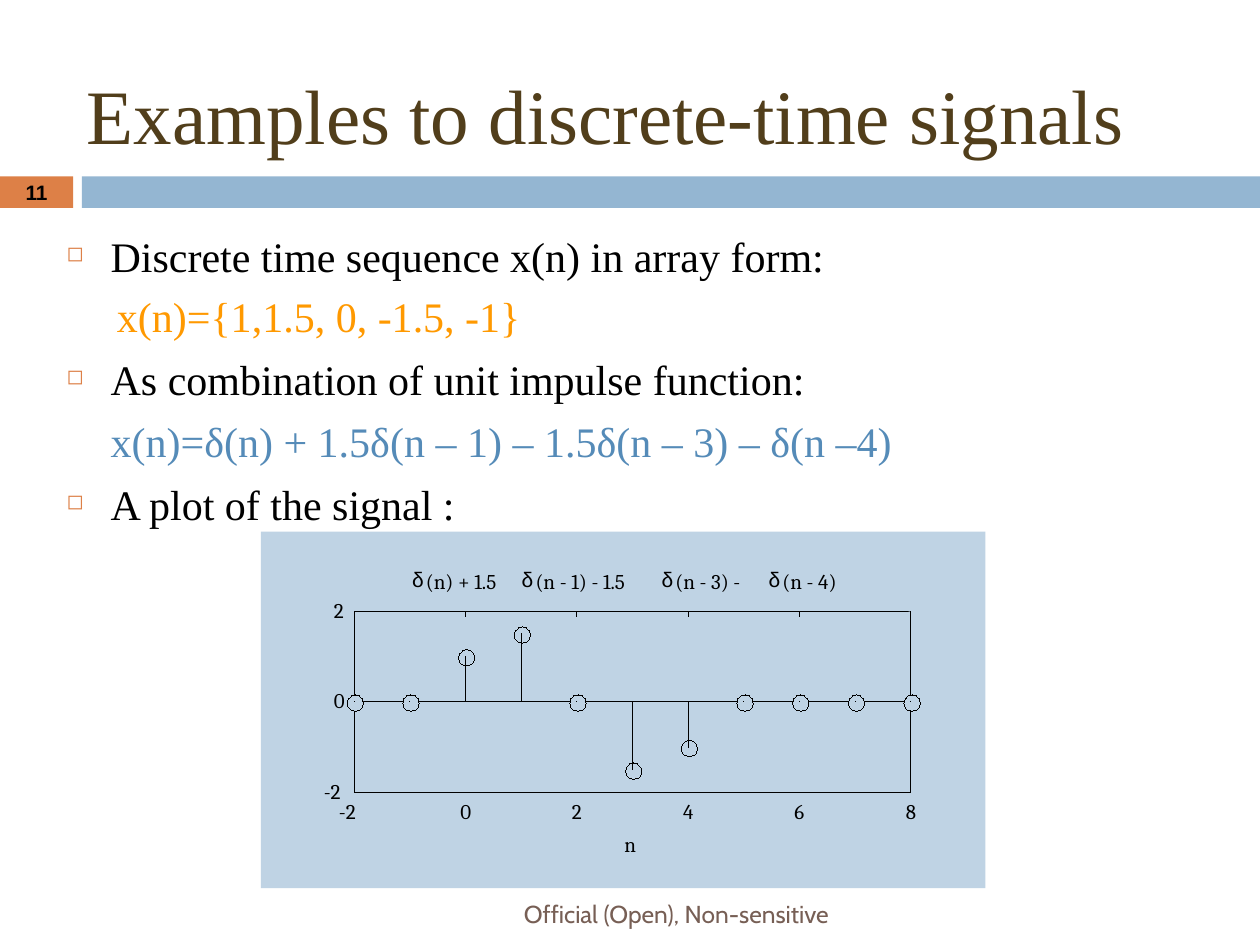
import collections

import lxml.etree
import pptx
import pptx.dml.color
import pptx.enum.shapes
import pptx.enum.text
import pptx.oxml.ns
import pptx.util

Box = collections.namedtuple("Box", "left top width height")
SHAPE = pptx.enum.shapes.MSO_SHAPE
ALIGN = pptx.enum.text.PP_ALIGN
ANCHOR = pptx.enum.text.MSO_ANCHOR
WIDTH, HEIGHT = 10, 7.5
HAIRLINE = pptx.util.Pt(0.01)
COLORS = {
    "orange": "DD8047", "blue": "94B6D2", "panel": "BFD3E4", "title": "513E1B",
    "text": "000000", "array": "FF9900", "impulse": "558BB8", "footer": "775F55",
}
BODY = [
    ("Discrete time sequence x(n) in array form:", "text", True, 0.35, 0),
    ("x(n)={1,1.5, 0, -1.5, -1}", "array", False, 0.4, 5.5),
    ("As combination of unit impulse function:", "text", True, 0.35, 7),
    ("x(n)=δ(n) + 1.5δ(n – 1) – 1.5δ(n – 3) – δ(n –4)", "impulse", False, 0.35, 7),
    ("A plot of the signal :", "text", True, 0.35, 7),
]
SIGNAL = {0: 1, 1: 1.5, 3: -1.5, 4: -1}
TERMS = [(1.2, "(n) + 1.5"), (2.07, "(n - 1) - 1.5"), (3.18, "(n - 3) -"), (4.03, "(n - 4)")]


def inches(*lengths):
    return [pptx.util.Inches(length) for length in lengths]


def color(name):
    return pptx.dml.color.RGBColor.from_string(COLORS[name])


def add_span(para, text, size, font, color_name, bold=False):
    span = para.add_run()
    span.text = text
    span.font.size = pptx.util.Pt(size)
    span.font.name = font
    span.font.bold = bold
    span.font.color.rgb = color(color_name)


def paint(shape, fill, line=None):
    shape.shadow.inherit = False
    shape.fill.solid()
    shape.fill.fore_color.rgb = color(fill)
    if line:
        shape.line.color.rgb = color(line)
        shape.line.width = HAIRLINE
    else:
        shape.line.fill.background()


def add_panel(page, box, fill, line=None, kind=SHAPE.RECTANGLE):
    panel = page.shapes.add_shape(kind, *inches(*box))
    paint(panel, fill, line)
    return panel


def add_line(page, start, end):
    line = page.shapes.add_connector(
        pptx.enum.shapes.MSO_CONNECTOR.STRAIGHT, *inches(*start, *end))
    line.line.color.rgb = color("text")
    line.line.width = HAIRLINE
    lxml.etree.SubElement(line._element.spPr, pptx.oxml.ns.qn("a:effectLst"))


def add_text(page, box, text, size, font, color_name, align, bold=False):
    frame = page.shapes.add_textbox(*inches(*box)).text_frame
    frame.word_wrap = True
    frame.vertical_anchor = ANCHOR.MIDDLE
    frame.paragraphs[0].alignment = align
    add_span(frame.paragraphs[0], text, size, font, color_name, bold)


def add_label(page, left, top, width, text, font="Cambria"):
    frame = add_panel(page, Box(left, top, width, 0.2), "panel").text_frame
    frame.margin_left = frame.margin_right = frame.margin_top = frame.margin_bottom = 0
    frame.word_wrap = False
    frame.auto_size = pptx.enum.text.MSO_AUTO_SIZE.SHAPE_TO_FIT_TEXT
    frame.vertical_anchor = ANCHOR.TOP
    frame.paragraphs[0].alignment = ALIGN.LEFT
    add_span(frame.paragraphs[0], text, 12, font, "text")


def add_bullet(para):
    qn = pptx.oxml.ns.qn
    props = para._p.get_or_add_pPr()
    tint = lxml.etree.SubElement(props, qn("a:buClr"))
    lxml.etree.SubElement(tint, qn("a:srgbClr"), val=COLORS["orange"])
    lxml.etree.SubElement(props, qn("a:buSzPct"), val="50000")
    lxml.etree.SubElement(props, qn("a:buChar"), char="◻")


def place_title(page, box):
    title = page.shapes.title
    title.left, title.top, title.width, title.height = inches(*box)
    frame = title.text_frame
    frame.word_wrap = True
    frame.auto_size = pptx.enum.text.MSO_AUTO_SIZE.NONE
    frame.vertical_anchor = ANCHOR.MIDDLE
    frame.paragraphs[0].alignment = ALIGN.LEFT
    add_span(frame.paragraphs[0], "Examples to discrete-time signals",
             44, "Times New Roman", "title")


def place_band(page, box):
    number = Box(box.left, box.top, 0.58, box.height)
    add_panel(page, number, "orange")
    add_panel(page, Box(box.left + 0.65, box.top, box.width - 0.65, box.height), "blue")
    add_text(page, number, "11", 11.9, "Arial", "text", ALIGN.CENTER, True)


def place_body(page, box):
    frame = page.shapes.add_textbox(*inches(*box)).text_frame
    frame.word_wrap = True
    for index, (text, color_name, bulleted, indent, gap) in enumerate(BODY):
        para = frame.add_paragraph() if index else frame.paragraphs[0]
        props = para._p.get_or_add_pPr()
        props.set("marL", str(pptx.util.Inches(indent)))
        if bulleted:
            props.set("indent", str(pptx.util.Inches(-indent)))
            add_bullet(para)
        para.space_before = pptx.util.Pt(gap)
        add_span(para, text, 24, "Times New Roman", color_name)


def place_frame(page, axes):
    right, bottom = axes.left + axes.width, axes.top + axes.height
    add_line(page, (axes.left, axes.top), (right, axes.top))
    corner = page.shapes.build_freeform(*inches(axes.left, bottom), scale=1.0)
    corner.add_line_segments([inches(right, bottom), inches(right, axes.top)], close=False)
    paint(corner.convert_to_shape(), "panel", "text")
    add_line(page, (axes.left, bottom), (axes.left, axes.top))


def place_plot(page, box):
    axes = Box(box.left + 0.74, box.top + 0.63, 4.42, 1.44)
    column, row = axes.width / 10, axes.height / 4
    right, bottom = axes.left + axes.width, axes.top + axes.height
    middle = axes.top + 2 * row
    ring, tick = 0.13, 0.04

    def across(n):
        return axes.left + (n + 2) * column

    add_panel(page, box, "panel")
    add_panel(page, axes, "panel")
    add_line(page, (axes.left, bottom), (right, bottom))

    for n in range(-2, 9, 2):
        width = 0.16 if n < 0 else 0.1
        left = across(n) - (0.12 if n < 0 else 0.04)
        for edge, inner in ((bottom, bottom - tick), (axes.top, axes.top + tick)):
            add_line(page, (across(n), edge), (across(n), inner))
        add_label(page, left, bottom + 0.05, width, str(n))
    for value in (-2, 0, 2):
        level = middle - value * row
        width = 0.16 if value < 0 else 0.1
        left = axes.left - (0.24 if value < 0 else 0.16)
        for edge, inner in ((axes.left, axes.left + tick), (right, right - tick)):
            add_line(page, (edge, level), (inner, level))
        add_label(page, left, level - 0.11, width, str(value))

    place_frame(page, axes)
    add_line(page, (axes.left, middle), (right, middle))

    tips = [(across(n), middle - SIGNAL.get(n, 0) * row) for n in range(-2, 9)]
    for center, tip in tips:
        add_panel(page, Box(center - ring / 2 + 0.01, tip - ring / 2 + 0.01, ring, ring),
                  "panel", "text", SHAPE.OVAL)
    for center, tip in tips:
        add_line(page, (center, middle), (center, tip))

    for offset, term in TERMS:
        left = box.left + offset
        add_label(page, left, box.top + 0.28, 0.09, "δ", "Arial")
        add_label(page, left + 0.11, box.top + 0.29, 0.07 * len(term), term)
    add_label(page, box.left + box.width / 2 + 0.01, box.top + 2.38, 0.1, "n")


def main():
    deck = pptx.Presentation()
    deck.slide_width, deck.slide_height = inches(WIDTH, HEIGHT)
    page = deck.slides.add_slide(deck.slide_layouts[5])
    place_band(page, Box(0, 1.4, WIDTH, 0.25))
    place_title(page, Box(0.59, 0.28, WIDTH - 0.59, 1.25))
    place_body(page, Box(0.43, 1.78, 8.86, 4.95))
    place_plot(page, Box(2.07, 4.22, 5.75, 2.83))
    add_text(page, Box(0.75, 7.05, 5.93, 0.4), "Official (Open), Non-sensitive",
             14, "Cabin", "footer", ALIGN.RIGHT)
    deck.save("out.pptx")


if __name__ == "__main__":
    main()
